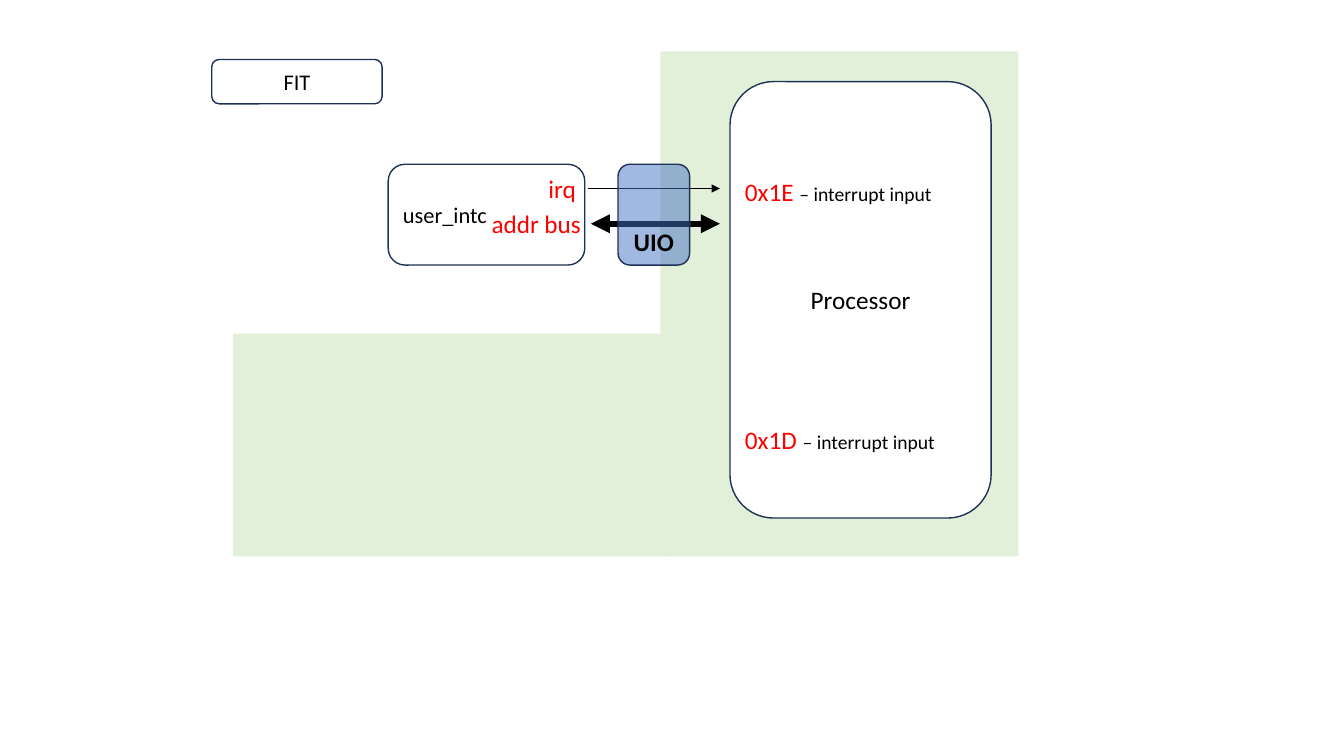
from pptx import Presentation
from pptx.dml.color import RGBColor
from pptx.enum.shapes import MSO_CONNECTOR, MSO_SHAPE
from pptx.enum.text import MSO_ANCHOR, MSO_AUTO_SIZE, PP_ALIGN
from pptx.oxml.ns import qn
from pptx.util import Pt
from lxml import etree

RECT, ROUND = MSO_SHAPE.RECTANGLE, MSO_SHAPE.ROUNDED_RECTANGLE
STRAIGHT = MSO_CONNECTOR.STRAIGHT
MIDDLE, BOTTOM = MSO_ANCHOR.MIDDLE, MSO_ANCHOR.BOTTOM
LEFT, CENTER, RIGHT = PP_ALIGN.LEFT, PP_ALIGN.CENTER, PP_ALIGN.RIGHT
GROW = MSO_AUTO_SIZE.SHAPE_TO_FIT_TEXT

EMU_PER_PX = 9144
FONT = "Calibri"
BLACK, WHITE, RED = "000000", "FFFFFF", "FF0000"
GREEN, BLUE, NAVY = "E2F0D9", "4472C4", "1E3256"


def px(*lengths):
    """Turn pixel lengths into EMU."""
    return [n * EMU_PER_PX for n in lengths]


def rgb(color):
    """Turn a hex string into a colour."""
    return RGBColor.from_string(color)


def style_run(r, size, color, bold=False):
    """Set the font of a run."""
    r.font.name = FONT
    r.font.size = Pt(size)
    r.font.bold = bold
    r.font.color.rgb = rgb(color)


def add_area(s, box):
    """Add a plain green area."""
    sp = s.shapes.add_shape(RECT, *px(*box))
    sp.shadow.inherit = False
    sp.fill.solid()
    sp.fill.fore_color.rgb = rgb(GREEN)
    sp.line.fill.background()


def add_block(s, box, text, size, align=CENTER, anchor=MIDDLE, fill=WHITE, bold=False):
    """Add an outlined rounded block with a label."""
    sp = s.shapes.add_shape(ROUND, *px(*box))
    sp.shadow.inherit = False
    sp.fill.solid()
    sp.fill.fore_color.rgb = rgb(fill)
    sp.line.color.rgb = rgb(NAVY)
    sp.line.width = Pt(1)
    tf = sp.text_frame
    tf.text = text
    tf.vertical_anchor = anchor
    p = tf.paragraphs[0]
    p.alignment = align
    style_run(p.runs[0], size, BLACK, bold)
    return sp


def set_alpha(sp, percent):
    """Make the solid fill of a shape partly transparent."""
    color = sp.fill._xPr.find(qn("a:solidFill"))[0]
    etree.SubElement(color, qn("a:alpha")).set("val", str(percent * 1000))


def add_label(s, box, name, note="", align=LEFT, wrap=False):
    """Add a red signal name with an optional small black note."""
    tf = s.shapes.add_textbox(*px(*box)).text_frame
    tf.word_wrap = wrap
    tf.auto_size = GROW
    p = tf.paragraphs[0]
    p.text = name
    p.alignment = align
    style_run(p.runs[0], 18, RED)
    if note:
        r = p.add_run()
        r.text = note
        style_run(r, 14, BLACK)


def add_arrow(s, x1, x2, y, width, ends):
    """Add a horizontal black arrow with heads at the given ends."""
    c = s.shapes.add_connector(STRAIGHT, *px(x1, y, x2, y))
    c.line.color.rgb = rgb(BLACK)
    c.line.width = Pt(width)
    ln = c.line._get_or_add_ln()
    for end in ends:
        etree.SubElement(ln, qn(f"a:{end}")).set("type", "triangle")
    etree.SubElement(c._element.spPr, qn("a:effectLst"))


def main():
    """Build the interrupt diagram."""
    prs = Presentation()
    prs.slide_width, prs.slide_height = px(1333, 750)
    s = prs.slides.add_slide(prs.slide_layouts[6])

    add_area(s, (655, 51, 355, 501))
    add_block(s, (724, 81, 259, 433), "Processor", 18)
    add_area(s, (231, 331, 433, 221))
    add_block(s, (385, 163, 195, 100), "user_intc", 16, align=LEFT)
    add_block(s, (210, 59, 169, 44), "FIT", 16)

    add_label(s, (534, 167, 48, 40), "irq")
    add_arrow(s, 583, 714, 187, 1, ["tailEnd"])
    for y, address in ((170, "0x1E "), (416, "0x1D ")):
        add_label(s, (729, y, 209, 40), address, "– interrupt input")
    add_arrow(s, 586, 714, 222, 4.5, ["headEnd", "tailEnd"])

    uio = add_block(s, (613, 163, 71, 100), "UIO", 18, anchor=BOTTOM, fill=BLUE, bold=True)
    set_alpha(uio, 50)
    add_label(s, (466, 202, 120, 40), "addr bus", align=RIGHT, wrap=True)

    prs.save("out.pptx")


if __name__ == "__main__":
    main()
